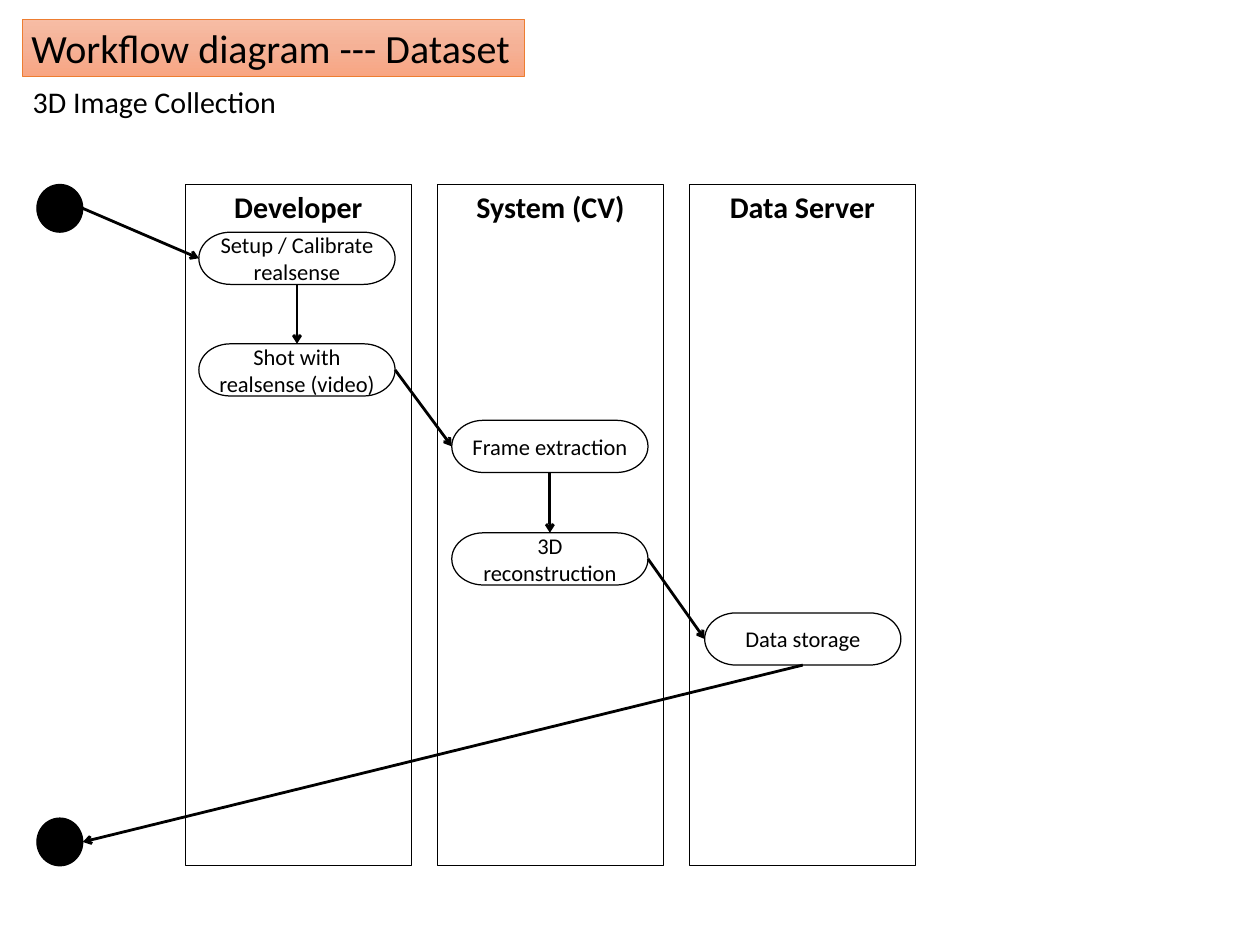
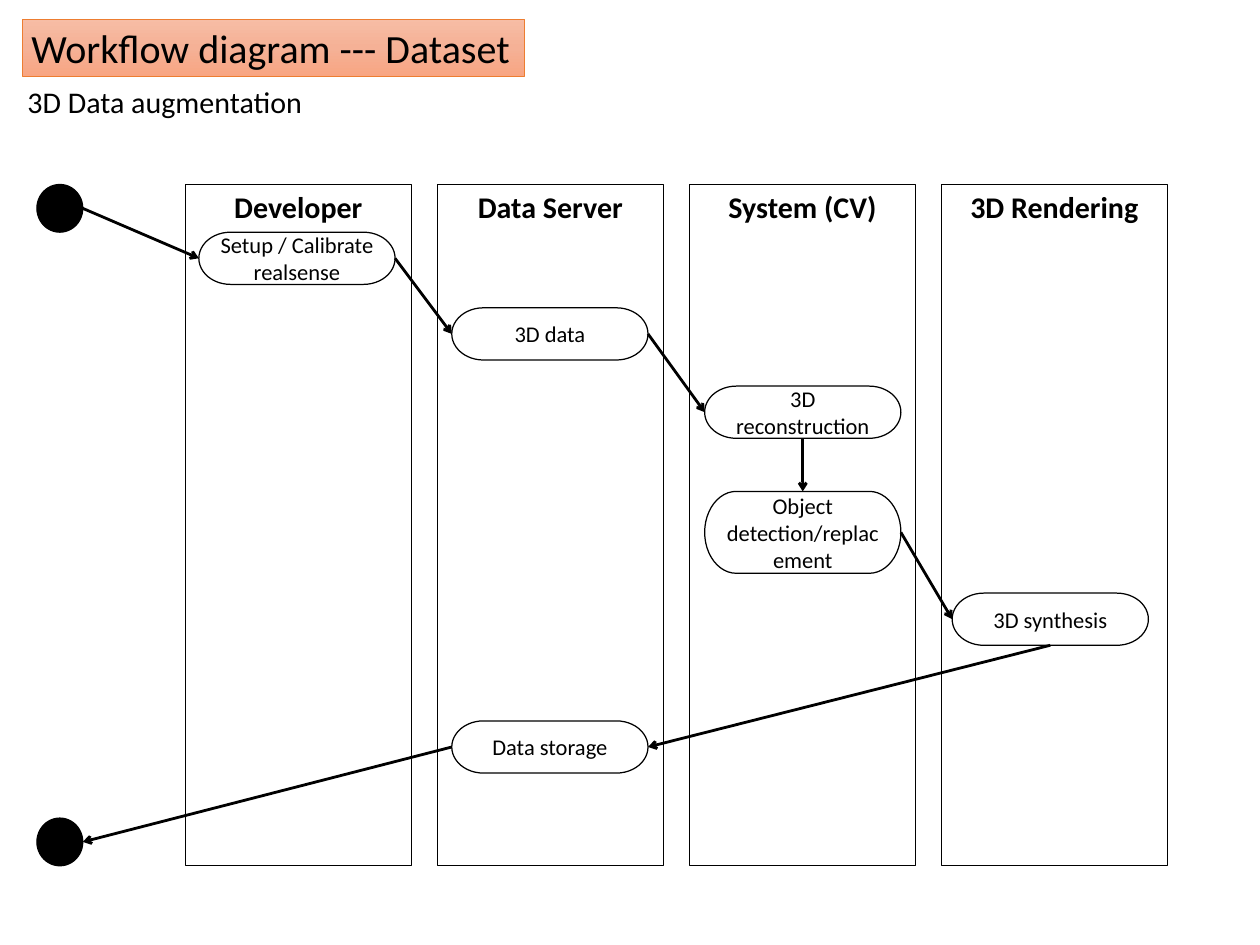
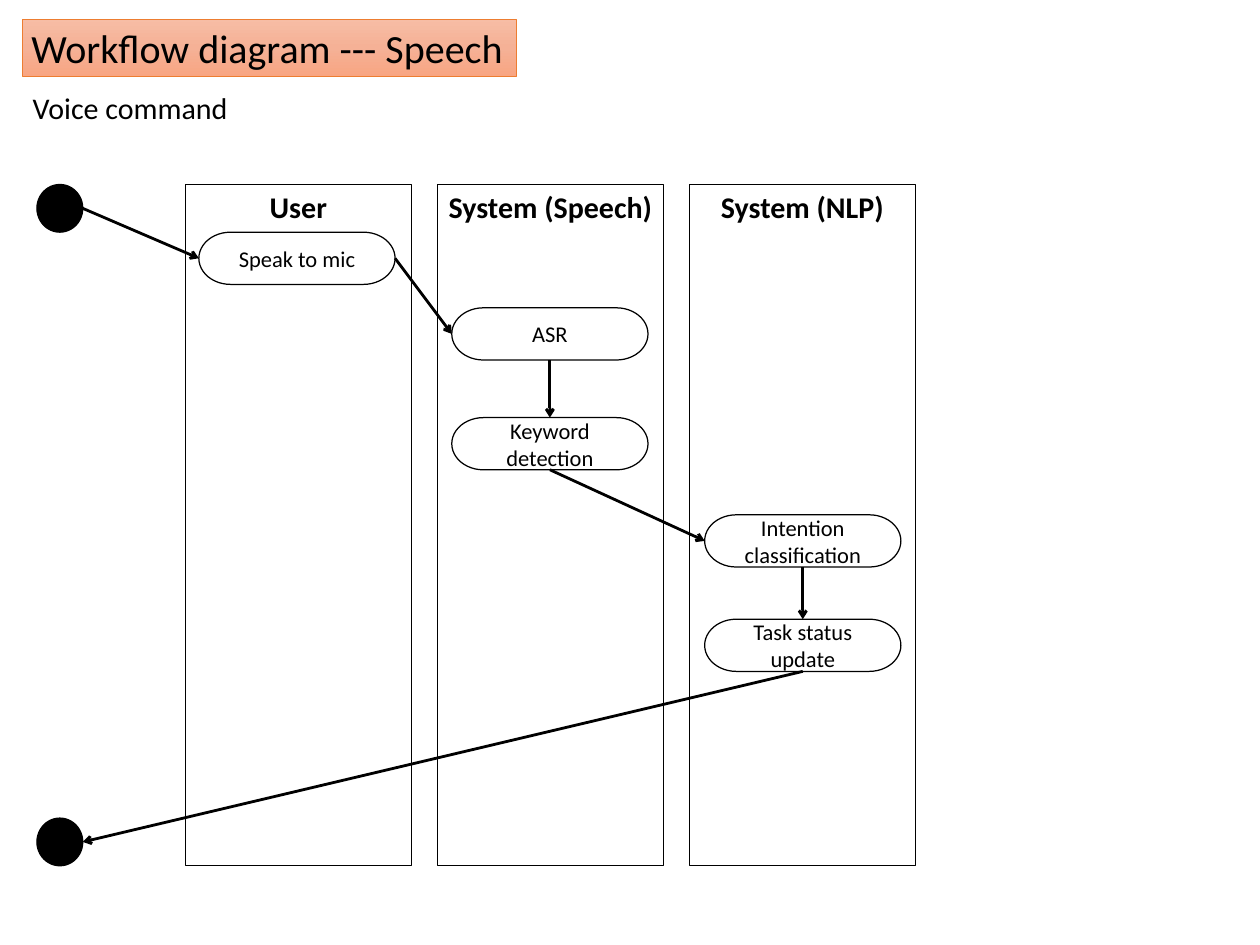
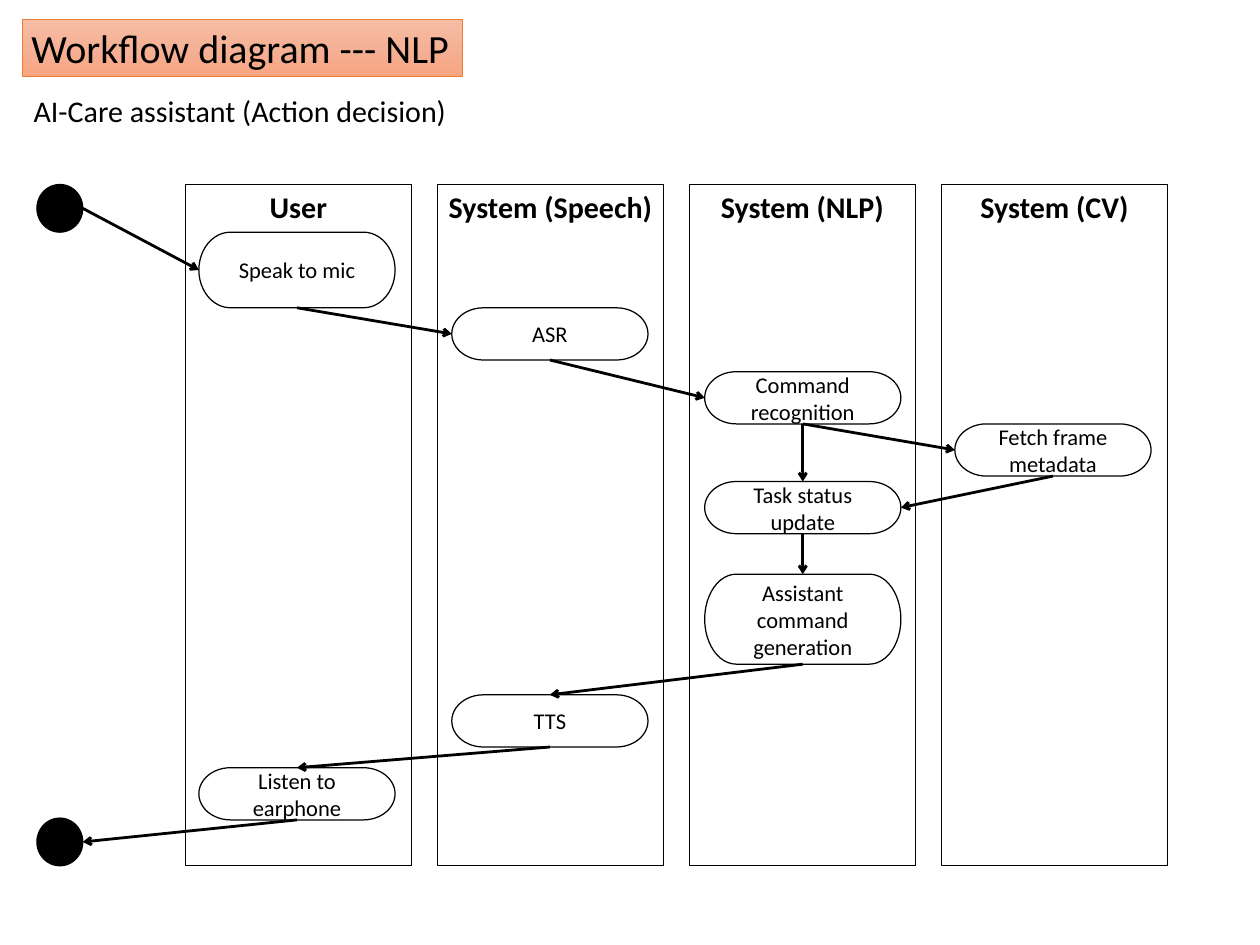
from lxml import etree
from pptx import Presentation
from pptx.dml.color import RGBColor
from pptx.enum.shapes import MSO_CONNECTOR, MSO_SHAPE
from pptx.enum.text import MSO_ANCHOR, MSO_AUTO_SIZE, PP_ALIGN
from pptx.oxml.ns import qn
from pptx.util import Inches, Pt

# Enum members
RECT, OVAL, PILL = MSO_SHAPE.RECTANGLE, MSO_SHAPE.OVAL, MSO_SHAPE.FLOWCHART_TERMINATOR
STRAIGHT = MSO_CONNECTOR.STRAIGHT
ABOVE, MIDDLE = MSO_ANCHOR.TOP, MSO_ANCHOR.MIDDLE
FLUSH, CENTER = PP_ALIGN.LEFT, PP_ALIGN.CENTER
GROW = MSO_AUTO_SIZE.SHAPE_TO_FIT_TEXT

# Sides of a node, as connection sites
TOP, LEFT, BOTTOM, RIGHT = range(4)

# Colours and font
BLACK = RGBColor(0x00, 0x00, 0x00)
WHITE = RGBColor(0xFF, 0xFF, 0xFF)
ORANGE = RGBColor(0xED, 0x7D, 0x31)
BLEND = {0: RGBColor(0xF7, 0xBD, 0xA5), 50: RGBColor(0xF5, 0xB1, 0x96),
         100: RGBColor(0xF8, 0xA5, 0x82)}
FONT = "Calibri"

# Grid: 14 columns by 10.5 rows of square cells
COLS, ROWS, CELL = 14, 10.5, Inches(1)
LANE_X, LANE_Y, LANE_W, LANE_H, LANE_STEP = 2.06, 2.05, 2.51, 7.57, 2.8
NODE_X, NODE_W, NODE_H, NODE_STEP = 2.21, 2.18, 0.58, 2.81
DOT_X, DOT_W, DOT_H = 0.41, 0.51, 0.53


def cells(*sizes):
    return [round(size * CELL) for size in sizes]


class Deck:
    def __init__(self):
        self.prs = Presentation()
        self.prs.slide_width, self.prs.slide_height = cells(COLS, ROWS)
        self.slide = None

    def shape(self, kind, box, fill=WHITE, line=BLACK, width=1):
        shape = self.slide.shapes.add_shape(kind, *cells(*box))
        shape.shadow.inherit = False
        shape.fill.solid()
        shape.fill.fore_color.rgb = fill
        shape.line.color.rgb = line
        shape.line.width = Pt(width)
        return shape

    def words(self, shape, text, size, bold=False, align=CENTER, anchor=ABOVE, wrap=True):
        frame = shape.text_frame
        frame.word_wrap = wrap
        frame.vertical_anchor = anchor
        if not wrap:
            frame.auto_size = GROW
        for i, row in enumerate(text.split("\n")):
            para = frame.add_paragraph() if i else frame.paragraphs[0]
            para.alignment = align
            run = para.add_run()
            run.text = row
            run.font.name, run.font.size, run.font.bold = FONT, Pt(size), bold
            run.font.color.rgb = BLACK

    def title(self, topic, width):
        box = self.shape(RECT, (0.25, 0.21, width, 0.64), line=ORANGE, width=0.5)
        box.fill.gradient()
        box.fill.gradient_angle = 270
        stops = box._element.spPr.find(qn("a:gradFill")).find(qn("a:gsLst"))
        for stop in list(stops):
            stops.remove(stop)
        for share, tint in BLEND.items():
            stop = etree.SubElement(stops, qn("a:gs"), pos=str(share * 1000))
            etree.SubElement(stop, qn("a:srgbClr"), val=str(tint))
        self.words(box, f"Workflow diagram --- {topic}", 32, align=FLUSH, wrap=False)

    def label(self, text, left, top, width):
        box = self.slide.shapes.add_textbox(*cells(left, top, width, 0.5))
        self.words(box, text, 24, wrap=False)

    def lane(self, col, name):
        box = self.shape(RECT, (LANE_X + col * LANE_STEP, LANE_Y, LANE_W, LANE_H))
        self.words(box, name, 24, bold=True)

    def dot(self, top):
        """Draw a start or end dot and return the point at its right."""
        dot = self.shape(OVAL, (DOT_X, top, DOT_W, DOT_H), fill=BLACK)
        return dot.left + dot.width, dot.top + dot.height // 2

    def node(self, col, top, text, height=NODE_H, shift=0):
        left = NODE_X + col * NODE_STEP + shift
        node = self.shape(PILL, (left, top, NODE_W, height))
        self.words(node, text, 18, anchor=MIDDLE)
        return node

    def link(self, source, leave, target, enter):
        """Join two nodes; the line begins at the target, where the arrow is."""
        line = self.slide.shapes.add_connector(STRAIGHT, 0, 0, 0, 0)
        if target == self.end:
            line.begin_x, line.begin_y = target
        else:
            line.begin_connect(target, enter)
        if source == self.start:
            line.end_x, line.end_y = source
        else:
            line.end_connect(source, leave)
        line.line.color.rgb = BLACK
        line.line.width = Pt(2.25)
        stroke = line._element.spPr.find(qn("a:ln"))
        etree.SubElement(stroke, qn("a:headEnd"), type="arrow")
        etree.SubElement(line._element.spPr, qn("a:effectLst"))

    def links(self, first, last, *steps):
        self.link(self.start, RIGHT, first, LEFT)
        for step in steps:
            self.link(*step)
        self.link(*last, self.end, RIGHT)

    def page(self, topic, width, label, lanes):
        self.slide = self.prs.slides.add_slide(self.prs.slide_layouts[6])
        self.title(topic, width)
        self.label(*label)
        for col, name in enumerate(lanes):
            self.lane(col, name)
        self.start = self.dot(LANE_Y)
        self.end = self.dot(LANE_Y + LANE_H - DOT_H)


def collect(deck):
    deck.page("Dataset", 5.58, ("3D Image Collection", 0.25, 0.88, 2.93),
              ["Developer", "System (CV)", "Data Server"])
    setup = deck.node(0, 2.58, "Setup / Calibrate\nrealsense")
    shot = deck.node(0, 3.82, "Shot with realsense (video)")
    frame = deck.node(1, 4.67, "Frame extraction")
    build = deck.node(1, 5.92, "3D reconstruction")
    store = deck.node(2, 6.81, "Data storage")
    deck.links(setup, (store, BOTTOM),
               (setup, BOTTOM, shot, TOP),
               (shot, RIGHT, frame, LEFT),
               (frame, BOTTOM, build, TOP),
               (build, RIGHT, store, LEFT))


def augment(deck):
    deck.page("Dataset", 5.58, ("3D Data augmentation", 0.19, 0.88, 3.28),
              ["Developer", "Data Server", "System (CV)", "3D Rendering"])
    setup = deck.node(0, 2.58, "Setup / Calibrate\nrealsense")
    data = deck.node(1, 3.42, "3D data")
    build = deck.node(2, 4.29, "3D reconstruction")
    detect = deck.node(2, 5.46, "Object detection/replacement", height=0.91)
    render = deck.node(3, 6.59, "3D synthesis", shift=-0.06)
    store = deck.node(1, 8.01, "Data storage")
    deck.links(setup, (store, LEFT),
               (setup, RIGHT, data, LEFT),
               (data, RIGHT, build, LEFT),
               (build, BOTTOM, detect, TOP),
               (detect, RIGHT, render, LEFT),
               (render, BOTTOM, store, RIGHT))


def command(deck):
    deck.page("Speech", 5.49, ("Voice command", 0.25, 0.94, 2.39),
              ["User", "System (Speech)", "System (NLP)"])
    speak = deck.node(0, 2.58, "Speak to mic")
    hear = deck.node(1, 3.42, "ASR")
    detect = deck.node(1, 4.64, "Keyword detection")
    intent = deck.node(2, 5.72, "Intention classification")
    update = deck.node(2, 6.88, "Task status update")
    deck.links(speak, (update, BOTTOM),
               (speak, RIGHT, hear, LEFT),
               (hear, BOTTOM, detect, TOP),
               (detect, BOTTOM, intent, LEFT),
               (intent, BOTTOM, update, TOP))


def assist(deck):
    deck.page("NLP", 4.89, ("AI-Care assistant (Action decision)", 0.25, 0.98, 4.83),
              ["User", "System (Speech)", "System (NLP)", "System (CV)"])
    speak = deck.node(0, 2.58, "Speak to mic", height=0.84)
    hear = deck.node(1, 3.42, "ASR")
    order = deck.node(2, 4.13, "Command recognition")
    fetch = deck.node(3, 4.71, "Fetch frame metadata", shift=-0.03)
    update = deck.node(2, 5.35, "Task status update")
    reply = deck.node(2, 6.38, "Assistant command generation", height=1)
    voice = deck.node(1, 7.72, "TTS")
    listen = deck.node(0, 8.53, "Listen to earphone")
    deck.links(speak, (listen, BOTTOM),
               (speak, BOTTOM, hear, LEFT),
               (hear, BOTTOM, order, LEFT),
               (order, BOTTOM, update, TOP),
               (order, BOTTOM, fetch, LEFT),
               (fetch, BOTTOM, update, RIGHT),
               (update, BOTTOM, reply, TOP),
               (reply, BOTTOM, voice, TOP),
               (voice, BOTTOM, listen, TOP))


def main():
    deck = Deck()
    for build in (collect, augment, command, assist):
        build(deck)
    deck.prs.save("out.pptx")


if __name__ == "__main__":
    main()
